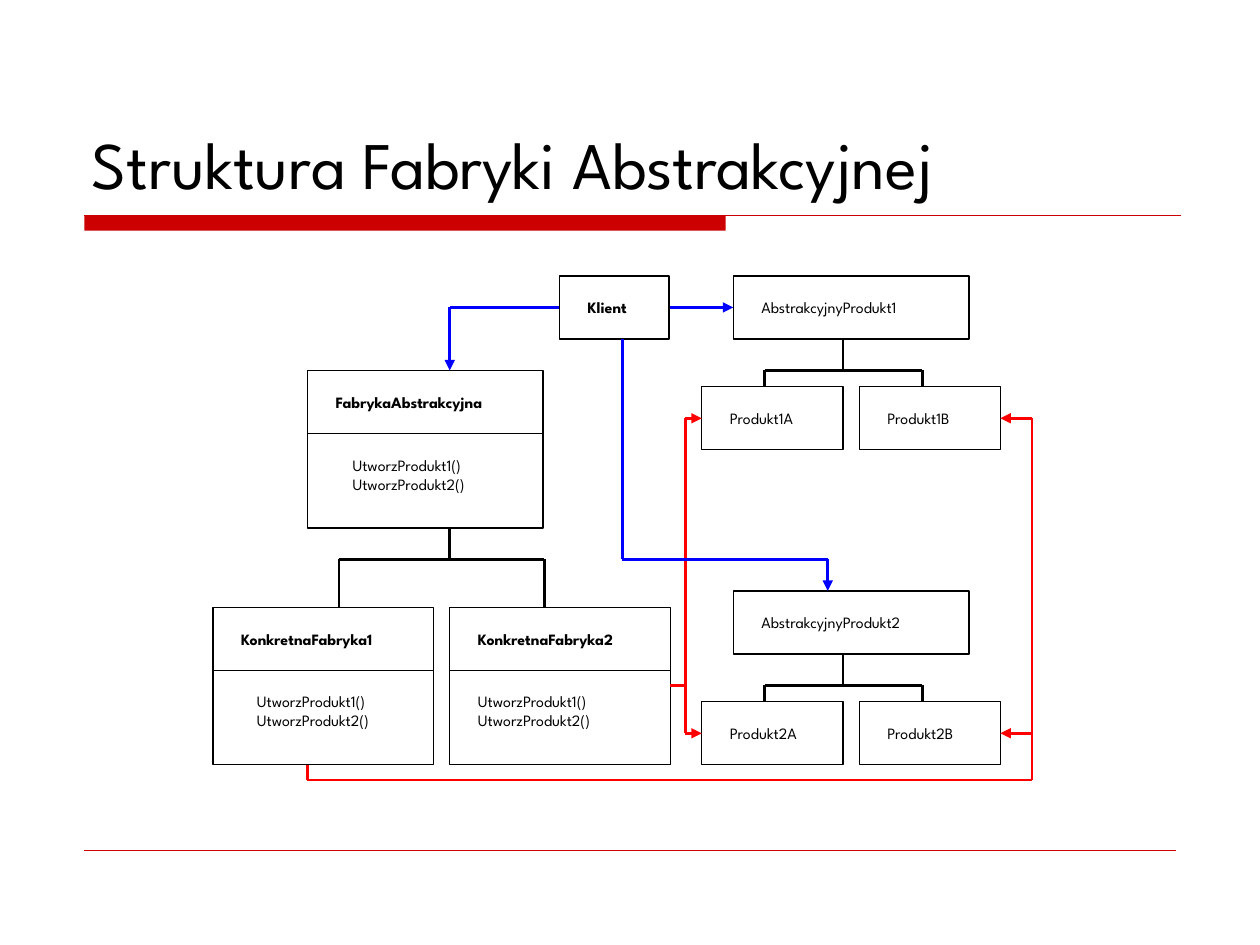
"""Build the slide that shows the class structure of the Abstract Factory pattern."""
from itertools import pairwise

from lxml.etree import SubElement
from pptx import Presentation
from pptx.dml.color import RGBColor
from pptx.enum.shapes import MSO_CONNECTOR, MSO_SHAPE
from pptx.enum.text import MSO_ANCHOR, MSO_AUTO_SIZE, PP_ALIGN
from pptx.oxml.ns import qn
from pptx.util import Inches, Pt

COLORS = {
    "black": "000000",
    "white": "FFFFFF",
    "accent": "CC0000",
    "creates": "FF0000",
    "uses": "0000FF",
}
FONT = "League Spartan"
TITLE_FONT = {"name": FONT, "size": Pt(38), "bold": False}
NAME_FONT = {"name": FONT, "size": Pt(9), "bold": True}
PLAIN_FONT = {"name": FONT, "size": Pt(9), "bold": False}
TITLE_FRAME = {
    "word_wrap": True,
    "auto_size": MSO_AUTO_SIZE.NONE,
    "vertical_anchor": MSO_ANCHOR.BOTTOM,
}
LABEL_FRAME = {**TITLE_FRAME, "vertical_anchor": MSO_ANCHOR.TOP}
METHODS = ["UtworzProdukt1()", "UtworzProdukt2()"]
HEADER_HEIGHT = 0.5
CLASS_HEIGHT = 1.25
PADDING = 0.125


def color(name):
    return RGBColor.from_string(COLORS[name])


def set_attributes(target, values):
    for attribute, value in values.items():
        setattr(target, attribute, value)


def write_text(shape, lines, frame_format, font_format):
    frame = shape.text_frame
    set_attributes(frame, frame_format)
    frame.text = "\n".join(lines)
    for paragraph in frame.paragraphs:
        paragraph.alignment = PP_ALIGN.LEFT
        for run in paragraph.runs:
            set_attributes(run.font, font_format)
            run.font.color.rgb = color("black")


def add_title(slide, text):
    title = slide.shapes.title
    set_attributes(title, {
        "left": Inches(0.63), "top": Inches(0.33),
        "width": Inches(8.75), "height": Inches(1.33),
    })
    write_text(title, [text], TITLE_FRAME, TITLE_FONT)


def add_rectangle(slide, left, top, width, height, fill="white", line=None):
    shape = slide.shapes.add_shape(
        MSO_SHAPE.RECTANGLE, Inches(left), Inches(top), Inches(width), Inches(height))
    shape.shadow.inherit = False
    shape.fill.solid()
    shape.fill.fore_color.rgb = color(fill)
    if line:
        shape.line.color.rgb = color(line)
        shape.line.width = Pt(0.75)
    else:
        shape.line.fill.background()
    return shape


def add_label(slide, left, top, width, height, lines, font_format):
    label = add_rectangle(slide, left, top, width, height)
    write_text(label, lines, LABEL_FRAME, font_format)


def add_line(slide, start, end, line_color, width=1.5, arrow=False):
    points = [Inches(value) for value in (*start, *end)]
    connector = slide.shapes.add_connector(MSO_CONNECTOR.STRAIGHT, *points)
    connector.line.color.rgb = color(line_color)
    connector.line.width = Pt(width)
    if arrow:
        SubElement(connector.line._get_or_add_ln(), qn("a:tailEnd"), type="triangle")
    SubElement(connector._element.spPr, qn("a:effectLst"))


def add_route(slide, points, line_color, arrow=True):
    for start, end in pairwise(points):
        add_line(slide, start, end, line_color, arrow=arrow and end == points[-1])


def add_named_box(slide, left, top, width, name, font_format=PLAIN_FONT, height=HEADER_HEIGHT):
    add_rectangle(slide, left, top, width, height, line="black")
    add_label(slide, left + PADDING, top + PADDING, width - 2 * PADDING, 0.25,
              [name], font_format)


def add_class(slide, left, top, width, name, method_indent):
    add_named_box(slide, left, top, width, name, NAME_FONT, CLASS_HEIGHT)
    divider = top + HEADER_HEIGHT
    add_line(slide, (left, divider), (left + width, divider), "black", 0.75)
    add_label(slide, left + method_indent, divider + PADDING, 1.25, 0.5,
              METHODS, PLAIN_FONT)


def add_tree(slide, parent_x, top, child_xs, bottom):
    bar = top + 0.25
    first, last = child_xs
    add_line(slide, (parent_x, top), (parent_x, bar), "black")
    add_route(slide, [(first, bottom), (first, bar), (last, bar), (last, bottom)],
              "black", arrow=False)


def add_product_family(slide, number, top):
    child_top = top + 0.88
    add_named_box(slide, 5.82, top, 1.87, f"AbstrakcyjnyProdukt{number}")
    for left, variant in ((5.57, "A"), (6.82, "B")):
        add_named_box(slide, left, child_top, 1.12, f"Produkt{number}{variant}")
    add_tree(slide, 6.69, top + HEADER_HEIGHT, (6.07, 7.32), child_top)


def main():
    presentation = Presentation()
    presentation.slide_width = Inches(10)
    presentation.slide_height = Inches(7.5)
    slide = presentation.slides.add_slide(presentation.slide_layouts[5])

    add_rectangle(slide, 0.67, 1.71, 5.09, 0.12, fill="accent")
    add_line(slide, (0.67, 1.71), (9.37, 1.71), "accent", 0.75)
    add_line(slide, (0.67, 6.75), (9.33, 6.75), "accent", 0.25)
    add_title(slide, "Struktura Fabryki Abstrakcyjnej")

    add_class(slide, 2.44, 2.94, 1.87, "FabrykaAbstrakcyjna", 0.26)
    add_class(slide, 3.57, 4.82, 1.75, "KonkretnaFabryka2", PADDING)
    add_class(slide, 1.69, 4.82, 1.75, "KonkretnaFabryka1", 0.25)
    add_tree(slide, 3.57, 4.19, (2.69, 4.32), 4.82)
    add_named_box(slide, 4.44, 2.19, 0.87, "Klient", NAME_FONT)
    for number, top in ((1, 2.19), (2, 4.69)):
        add_product_family(slide, number, top)

    add_line(slide, (5.32, 5.44), (5.44, 5.44), "creates")
    add_route(slide, [(5.44, 5.44), (5.44, 3.32), (5.57, 3.32)], "creates")
    add_route(slide, [(5.44, 5.44), (5.44, 5.82), (5.57, 5.82)], "creates")
    add_route(slide, [(2.44, 6.07), (2.44, 6.19), (8.19, 6.19), (8.19, 3.32), (7.94, 3.32)],
              "creates")
    add_line(slide, (8.19, 5.82), (7.94, 5.82), "creates", arrow=True)
    add_route(slide, [(4.94, 2.69), (4.94, 4.44), (6.57, 4.44), (6.57, 4.69)], "uses")
    add_route(slide, [(5.32, 2.44), (5.82, 2.44)], "uses")
    add_route(slide, [(4.44, 2.44), (3.57, 2.44), (3.57, 2.94)], "uses")

    presentation.save("out.pptx")


if __name__ == "__main__":
    main()
